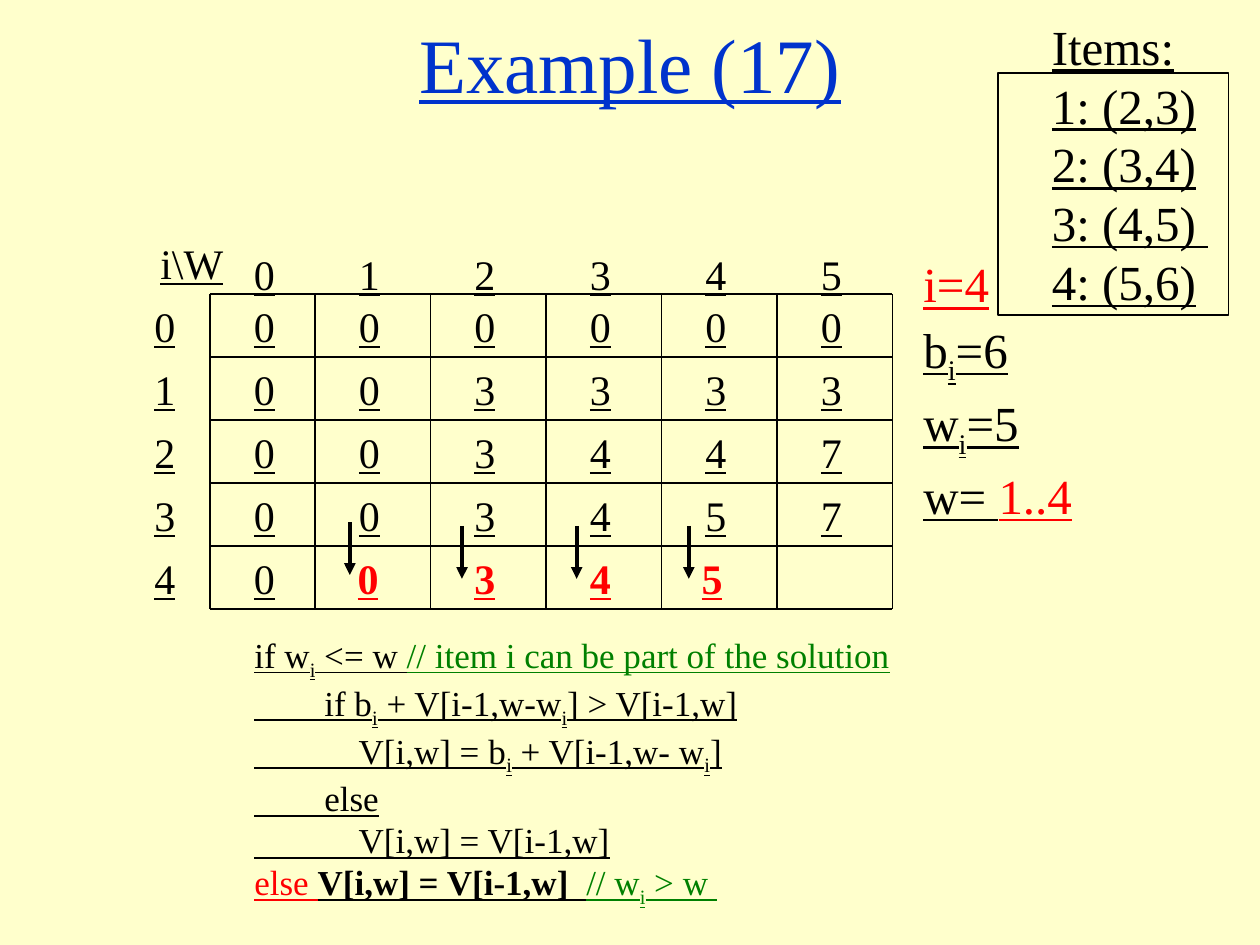
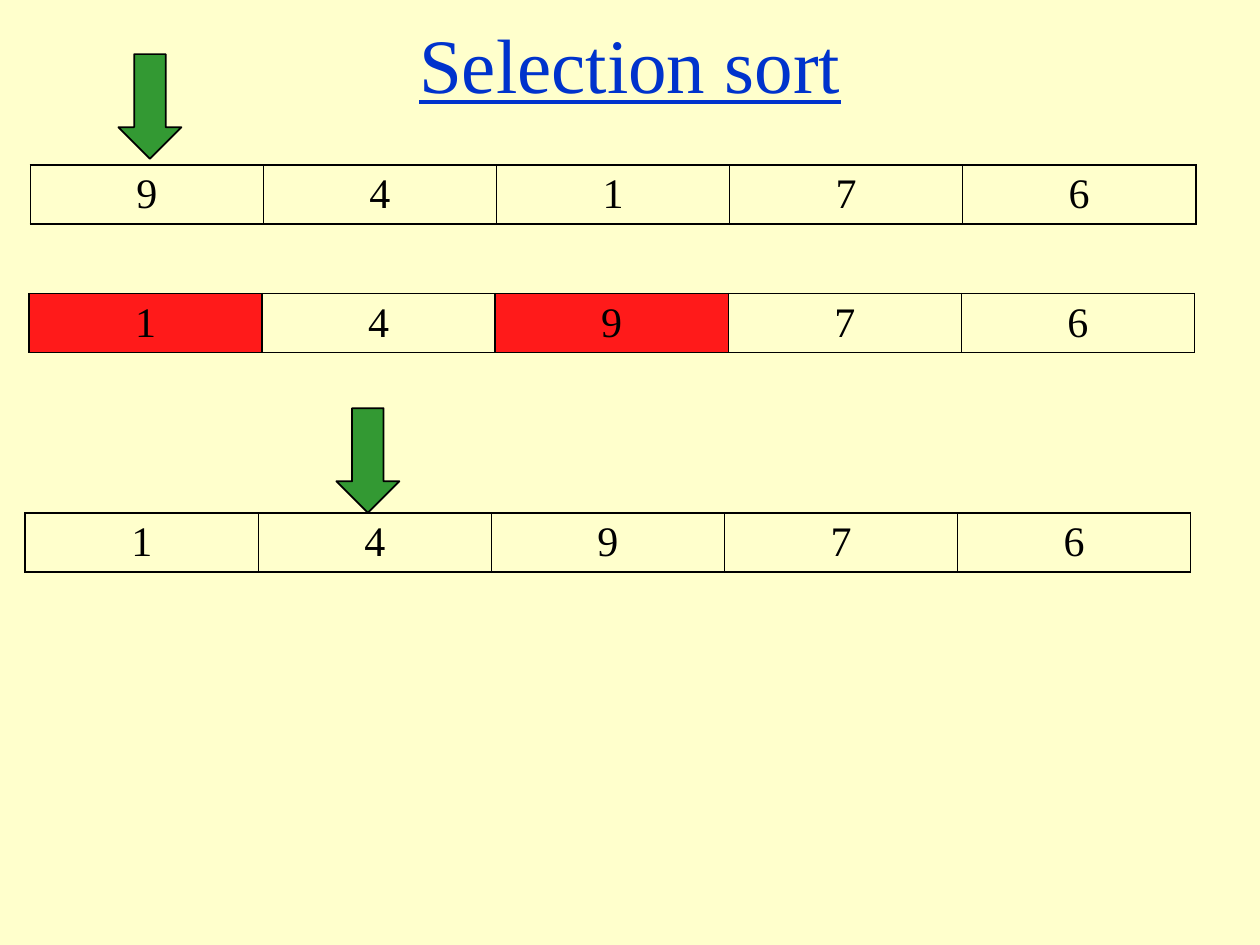
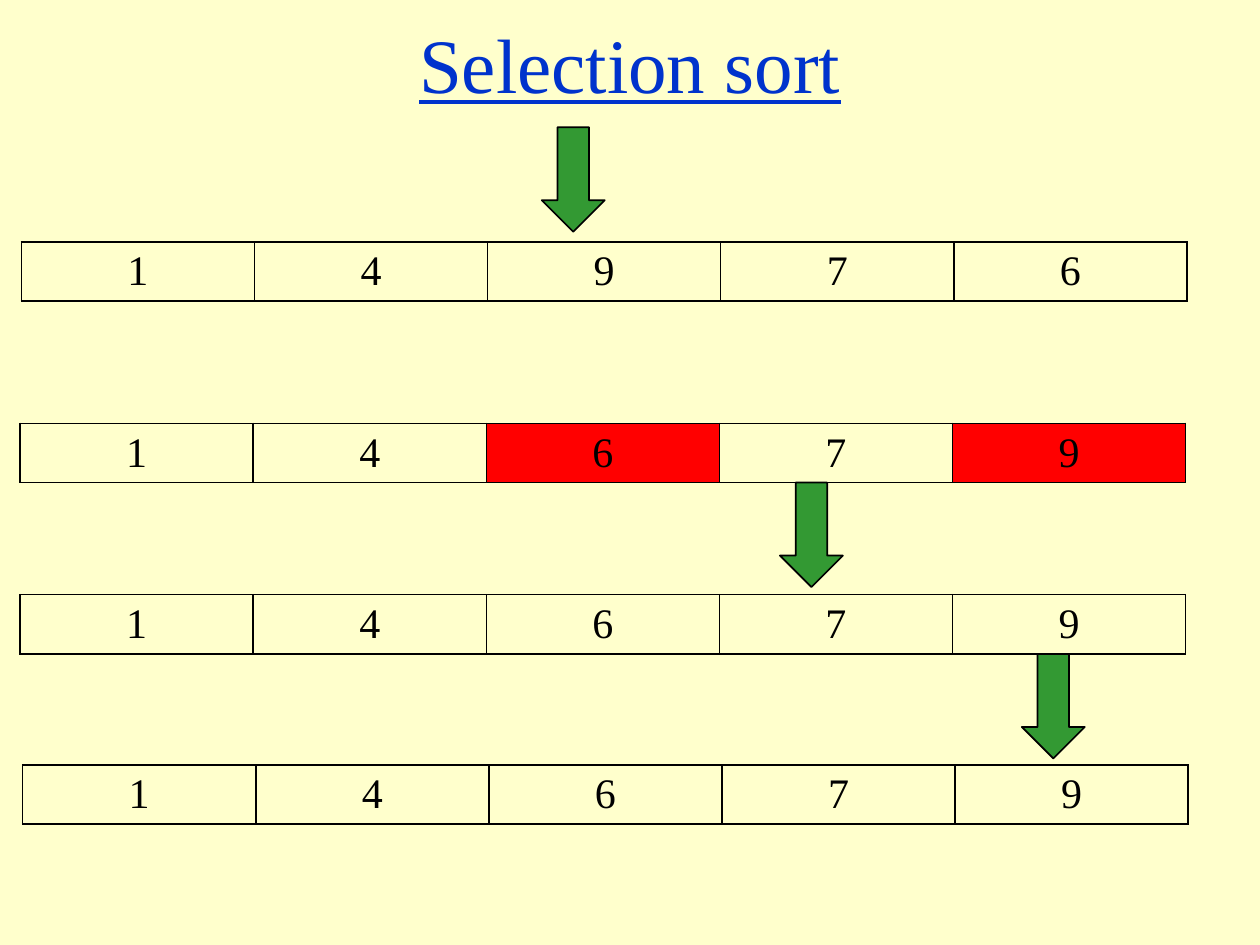
from lxml import etree
from pptx import Presentation
from pptx import util as u
from pptx.dml.color import RGBColor
from pptx.enum import shapes, text
from pptx.oxml import ns

Inches = u.Inches

CREAM = RGBColor(0xFF, 0xFF, 0xCC)
BLUE = RGBColor(0x00, 0x33, 0xCC)
BLACK = RGBColor(0x00, 0x00, 0x00)
RED = RGBColor(0xFF, 0x00, 0x00)
SWAP_RED = RGBColor(0xFF, 0x1A, 0x1A)
COMMENT_GREEN = RGBColor(0x00, 0x80, 0x00)
ARROW_GREEN = RGBColor(0x33, 0x99, 0x33)
FONT = "Times New Roman"

LABEL_INSET = 0.25
ROW_HEIGHT = 0.5
FIRST_COLUMN = 10 / 12
OTHER_COLUMN = 11 / 12
ARRAY_COLUMN = 1.85
ARRAY_HEIGHT = 0.41

ITEMS = ["Items:", "1: (2,3)", "2: (3,4)", "3: (4,5) ", "4: (5,6)"]
VALUES = ["000000", "003333", "003447", "003457", "00345"]
STATE = [
    [("i=4", {"color": RED})],
    [("b|i|=6", {})],
    [("w|i|=5", {})],
    [("w= ", {}), ("1..4", {"color": RED})],
]
CODE = [
    [("if w|i| <= w ", {}),
     ("// item i can be part of the solution", {"color": COMMENT_GREEN})],
    [("        if b|i| + V[i-1,w-w|i|] > V[i-1,w]", {})],
    [("            V[i,w] = b|i| + V[i-1,w- w|i|]", {})],
    [("        else", {})],
    [("            V[i,w] = V[i-1,w]", {})],
    [("else ", {"color": RED}), ("V[i,w] = V[i-1,w]", {"bold": True}),
     ("  ", {}), ("// w|i| > w ", {"color": COMMENT_GREEN})],
]


def write(para, content, size=24, color=BLACK, bold=False, underline=True):
    for index, part in enumerate(content.split("|")):
        span = para.add_run()
        span.text = part
        span.font.name = FONT
        span.font.size = u.Pt(size)
        span.font.color.rgb = color
        span.font.bold = bold
        span.font.underline = underline
        if index % 2:
            span.font._element.set("baseline", "-25000")


def add_text(page, box, lines, size=24, wrap=False, align=None, spacing=None):
    frame = page.shapes.add_textbox(*map(Inches, box)).text_frame
    frame.word_wrap = wrap
    for index, spans in enumerate(lines):
        para = frame.add_paragraph() if index else frame.paragraphs[0]
        para.alignment = align
        para.line_spacing = spacing
        for content, style in spans:
            write(para, content, size=size, **style)


def add_label(page, left, top, content, **style):
    add_text(page, (left, top, 0.37, 0.5), [[(content, style)]])


def add_line(page, start, end, width=0.75, arrow=False):
    line = page.shapes.add_connector(
        shapes.MSO_CONNECTOR.STRAIGHT, *map(Inches, (*start, *end)))
    line.line.color.rgb = BLACK
    line.line.width = u.Pt(width)
    properties = line._element.spPr
    if arrow:
        etree.SubElement(properties.find(ns.qn("a:ln")), ns.qn("a:tailEnd"), type="triangle")
    etree.SubElement(properties, ns.qn("a:effectLst"))


def add_outlined(page, kind, box, fill=None, width=1):
    shape = page.shapes.add_shape(kind, *map(Inches, box))
    shape.shadow.inherit = False
    if fill is None:
        shape.fill.background()
    else:
        shape.fill.solid()
        shape.fill.fore_color.rgb = fill
    shape.line.color.rgb = BLACK
    shape.line.width = u.Pt(width)


def add_border(cell, width=1):
    properties = cell._tc.get_or_add_tcPr()
    for index, side in enumerate("LRTB"):
        line = etree.Element(ns.qn(f"a:ln{side}"), w=str(u.Pt(width)))
        fill = etree.SubElement(line, ns.qn("a:solidFill"))
        etree.SubElement(fill, ns.qn("a:srgbClr"), val=str(BLACK))
        properties.insert(index, line)


def add_array(page, left, top, numbers, swapped=(), color=RED):
    width = ARRAY_COLUMN * len(numbers)
    table = page.shapes.add_table(
        1, len(numbers), *map(Inches, (left, top, width, ARRAY_HEIGHT))).table
    table.first_row = False
    table.horz_banding = False
    for x, number in enumerate(numbers):
        table.columns[x].width = Inches(ARRAY_COLUMN)
        cell = table.cell(0, x)
        if x in swapped:
            cell.fill.solid()
            cell.fill.fore_color.rgb = color
        else:
            cell.fill.background()
        add_border(cell)
        para = cell.text_frame.paragraphs[0]
        para.alignment = text.PP_ALIGN.CENTER
        write(para, number, underline=False)


def add_page(deck, heading):
    page = deck.slides.add_slide(deck.slide_layouts[5])
    frame = page.shapes.title.text_frame
    frame.auto_size = text.MSO_AUTO_SIZE.NONE
    frame.vertical_anchor = text.MSO_ANCHOR.MIDDLE
    frame.paragraphs[0].alignment = text.PP_ALIGN.CENTER
    write(frame.paragraphs[0], heading, size=44, color=BLUE)
    return page


def add_items(page, left, top):
    add_text(page, (left + 0.33, top - 0.5, 1.44, 2.44),
             [[(item, {})] for item in ITEMS], size=28)
    add_outlined(page, shapes.MSO_SHAPE.RECTANGLE, (left, top, 1.83, 1.92), width=0.75)


def add_value_grid(page, left, top):
    columns = [left] + [left + FIRST_COLUMN + n * OTHER_COLUMN for n in range(6)]
    rows = [top + n * ROW_HEIGHT for n in range(len(VALUES) + 1)]
    for x in columns:
        add_line(page, (x, rows[0]), (x, rows[-1]))
    for y in rows:
        add_line(page, (columns[0], y), (columns[-1], y))

    for number, x in enumerate(columns[:-1]):
        add_label(page, x + LABEL_INSET, top - 0.41, str(number))
    for number, y in enumerate(rows[:-1]):
        add_label(page, left - 0.54, y, str(number))
    add_text(page, (left - 0.52, top - 0.5, 0.75, 0.5), [[("i\\W", {})]],
             wrap=True, align=text.PP_ALIGN.CENTER)

    for y, values in zip(rows, VALUES[:-1]):
        for x, value in zip(columns, values):
            add_label(page, x + LABEL_INSET, y, value)
    first, *current = VALUES[-1]
    add_label(page, left + LABEL_INSET, rows[-2], first)
    shifts = [-0.01, 0, 0, -0.03]
    for x, value, shift in zip(columns[1:], current, shifts):
        add_label(page, x + LABEL_INSET + shift, rows[-2], value, color=RED, bold=True)

    for x, y in [(1.11, 1.81), (2, 1.84), (2.91, 1.84), (3.8, 1.84)]:
        add_line(page, (left + x, top + y), (left + x, top + y + 0.42), 2.25, arrow=True)


def build_knapsack(deck):
    page = add_page(deck, "Example (17)")
    add_items(page, 7.92, 0.58)
    add_value_grid(page, 5 / 3, 7 / 3)
    add_text(page, (7.23, 1.92, 1.61, 2.67), STATE, size=28, wrap=True, spacing=1.1)
    add_text(page, (1.92, 4.98, 7.58, 2.1), CODE, size=20, wrap=True)


def build_sort(deck, arrays, arrows):
    page = add_page(deck, "Selection sort")
    for array in arrays:
        add_array(page, *array)
    for left, top in arrows:
        add_outlined(page, shapes.MSO_SHAPE.DOWN_ARROW, (left, top, 0.5, 0.83), ARROW_GREEN)


def main():
    deck = Presentation()
    deck.slide_width = Inches(10)
    deck.slide_height = Inches(7.5)
    background = deck.slide_master.background.fill
    background.solid()
    background.fore_color.rgb = CREAM
    heading = deck.slide_layouts[5].placeholders[0]
    heading.left, heading.top, heading.width, heading.height = map(Inches, (0, 0, 10, 1))

    build_knapsack(deck)
    build_sort(
        deck,
        [(0.24, 1.31, "94176"),
         (0.23, 2.33, "14976", (0, 2), SWAP_RED),
         (0.2, 4.07, "14976")],
        [(0.94, 0.43), (2.67, 3.24)])
    build_sort(
        deck,
        [(0.17, 1.92, "14976"),
         (0.16, 3.36, "14679", (2, 4)),
         (0.16, 4.72, "14679"),
         (0.18, 6.07, "14679")],
        [(4.3, 1.01), (6.19, 3.83), (8.11, 5.19)])
    deck.save("out.pptx")


if __name__ == "__main__":
    main()
